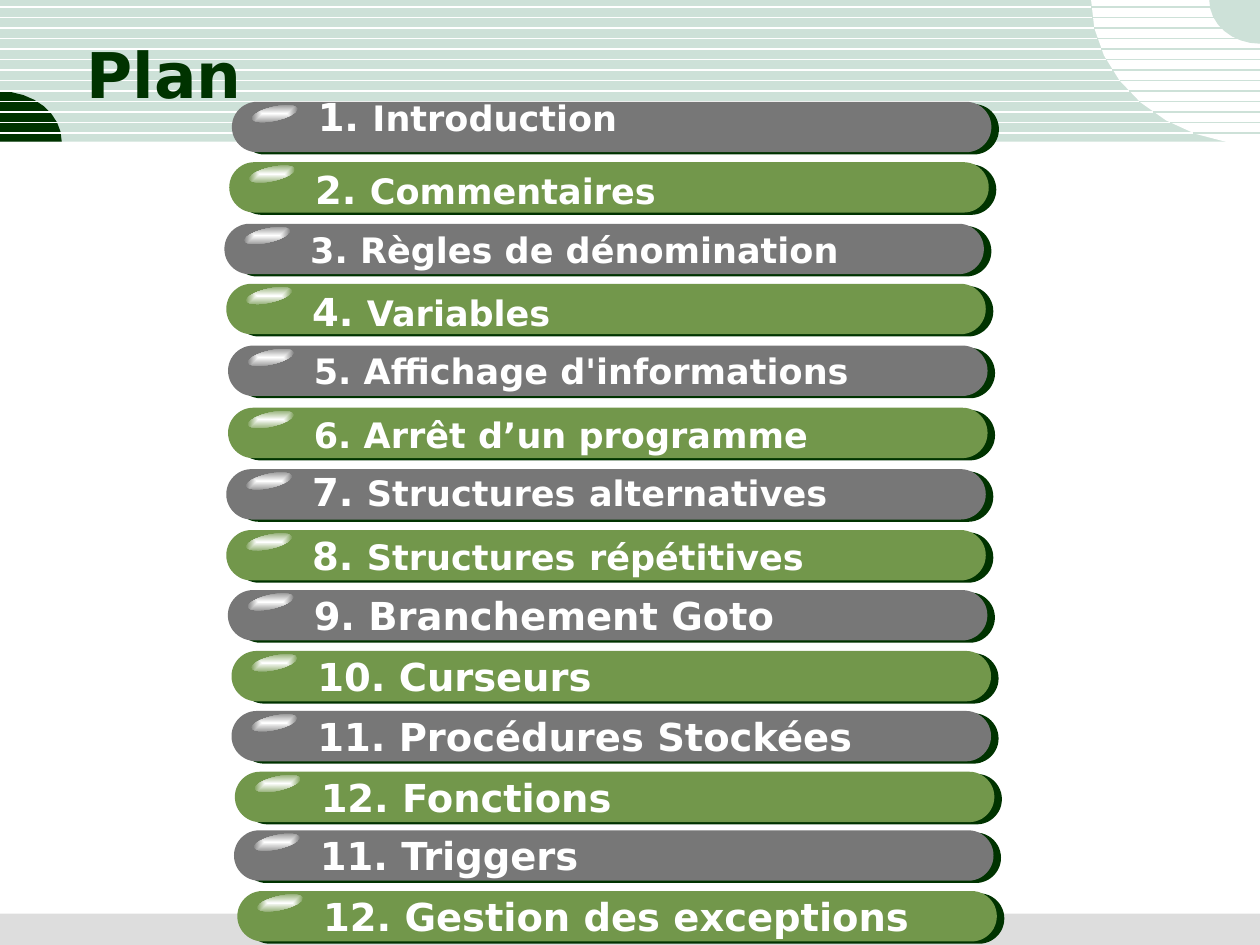
from dataclasses import dataclass
from math import cos, pi, sin, sqrt

from lxml import etree
from pptx import Presentation
from pptx.dml.color import RGBColor
from pptx.enum import shapes, text
from pptx.oxml import ns
from pptx.util import Pt

HUES = {"dark": "003300", "mint": "CDE1D8", "white": "FFFFFF",
        "gray": "777777", "green": "72974B", "foot": "DDDDDD"}
FONT = "DejaVu Sans"
WIDE, HIGH = 720, 540
BAND = 81
BAR_W, BAR_H = 434, 28.8
ARC_W, ARC_H = 96.5, 82.8


@dataclass(frozen=True)
class Run:
    words: str
    size: float
    hue: str = "white"


@dataclass(frozen=True)
class Bar:
    left: float
    top: float
    runs: tuple[Run, ...]
    shift: float = 0


@dataclass(frozen=True)
class Arc:
    mid: float
    base: float
    wide: float
    high: float
    start: float
    hue: str


def tint(name: str) -> RGBColor:
    return RGBColor.from_string(HUES[name])


def paint(shape, hue: str):
    shape.shadow.inherit = False
    shape.fill.solid()
    shape.fill.fore_color.rgb = tint(hue)
    shape.line.fill.background()
    return shape


def block(slide, kind, left: float, top: float, wide: float, high: float, hue: str):
    shape = slide.shapes.add_shape(kind, Pt(left), Pt(top), Pt(wide), Pt(high))
    return paint(shape, hue)


def wedge(slide, arc: Arc) -> None:
    steps = 8
    turns = [arc.start + pi / 2 * i / steps for i in range(steps + 1)]
    spots = [(Pt(arc.mid + arc.wide * cos(t)), Pt(arc.base + arc.high * sin(t)))
             for t in turns]
    path = slide.shapes.build_freeform(Pt(arc.mid), Pt(arc.base))
    path.add_line_segments(spots, close=True)
    paint(path.convert_to_shape(), arc.hue)


def rule(slide, left: float, right: float, y: float, hue: str, thick: float) -> None:
    line = slide.shapes.add_connector(
        shapes.MSO_CONNECTOR.STRAIGHT, Pt(left), Pt(y), Pt(right), Pt(y))
    line.line.color.rgb = tint(hue)
    line.line.width = Pt(thick)
    etree.SubElement(line._element.spPr, ns.qn("a:effectLst"))


def label(slide, left: float, top: float, wide: float, high: float,
          runs: tuple[Run, ...]) -> None:
    frame = slide.shapes.add_textbox(Pt(left), Pt(top), Pt(wide), Pt(high)).text_frame
    frame.word_wrap = True
    frame.auto_size = text.MSO_AUTO_SIZE.NONE
    frame.vertical_anchor = text.MSO_ANCHOR.MIDDLE
    for item in runs:
        run = frame.paragraphs[0].add_run()
        run.text = item.words
        run.font.name = FONT
        run.font.size = Pt(item.size)
        run.font.bold = True
        run.font.color.rgb = tint(item.hue)


def gloss(slide, left: float, top: float, hue: str) -> None:
    shape = block(slide, shapes.MSO_SHAPE.OVAL, left, top, 26.6, 7.9, "white")
    shape.rotation = 347.3
    props = shape._element.spPr
    fill = etree.Element(ns.qn("a:gradFill"), rotWithShape="1")
    stops = etree.SubElement(fill, ns.qn("a:gsLst"))
    for pos, name in (("0", "white"), ("100000", hue)):
        stop = etree.SubElement(stops, ns.qn("a:gs"), pos=pos)
        etree.SubElement(stop, ns.qn("a:srgbClr"), val=HUES[name])
    path = etree.SubElement(fill, ns.qn("a:path"), {"path": "shape"})
    etree.SubElement(path, ns.qn("a:fillToRect"),
                     {side: "50000" for side in "ltrb"})
    props.replace(props.find(ns.qn("a:solidFill")), fill)


def pill(slide, bar: Bar, hue: str) -> None:
    for dx, dy, name in ((4.3, 1.3, "dark"), (0, 0, hue)):
        shape = block(slide, shapes.MSO_SHAPE.ROUNDED_RECTANGLE,
                      bar.left + dx, bar.top + dy, BAR_W, BAR_H, name)
        shape.adjustments[0] = 0.5
    gloss(slide, bar.left + 11.2, bar.top + 2.8, hue)
    label(slide, bar.left + 42, bar.top + bar.shift, 350, BAR_H, bar.runs)


def mixed(num: str, *words: str) -> tuple[Run, ...]:
    runs = [Run(num + " ", 22)]
    for i, word in enumerate(words):
        if i:
            runs.append(Run(" ", 22))
        runs.append(Run(word, 20))
    return tuple(runs)


def plain(words: str, size: float = 22) -> tuple[Run, ...]:
    return (Run(words, size),)


BARS = (
    Bar(132.5, 58.2, mixed("1.", "Introduction"), -6.2),
    Bar(131, 92.7, mixed("2.", "Commentaires"), 1),
    Bar(128.2, 127.9, plain("3. Règles de dénomination", 20)),
    Bar(129.3, 162.2, mixed("4.", "Variables"), 1.2),
    Bar(130.3, 197.5, plain("5. Affichage d'informations", 20)),
    Bar(130.3, 233, plain("6. Arrêt d’un programme", 20), 1),
    Bar(129.3, 268.1, mixed("7.", "Structures", "alternatives"), -2),
    Bar(129.3, 302.9, mixed("8.", "Structures", "répétitives")),
    Bar(130.2, 337.2, plain("9. Branchement Goto")),
    Bar(132.3, 372, plain("10. Curseurs")),
    Bar(132.3, 406.3, plain("11. Procédures Stockées")),
    Bar(134.2, 441, plain("12. Fonctions")),
    Bar(133.7, 474.5, plain("11. Triggers")),
    Bar(135.6, 509.2, plain("12. Gestion des exceptions")),
)


def main() -> None:
    deck = Presentation()
    deck.slide_width, deck.slide_height = Pt(WIDE), Pt(HIGH)
    slide = deck.slides.add_slide(deck.slide_layouts[6])
    rect = shapes.MSO_SHAPE.RECTANGLE
    rows = [4 + 6 * i for i in range(13)]

    block(slide, rect, 0, 0, WIDE, BAND, "mint")
    wedge(slide, Arc(0, BAND, 35.3, 28.8, -pi / 2, "dark"))
    for y in rows:
        rule(slide, 0, WIDE, y, "white", 1)
    wedge(slide, Arc(WIDE, 0, ARC_W, ARC_H, pi / 2, "white"))
    for y in rows:
        edge = WIDE - ARC_W * sqrt(1 - (y / ARC_H) ** 2)
        rule(slide, edge, WIDE, y, "mint", 0.75)
    block(slide, rect, 0, 522, WIDE, 18, "foot")
    wedge(slide, Arc(WIDE, 0, 29, 25, pi / 2, "mint"))

    label(slide, 42.4, 18, 480, 48, (Run("Plan", 36, "dark"),))
    for i, bar in enumerate(BARS):
        pill(slide, bar, ("gray", "green")[i % 2])
    deck.save("out.pptx")


if __name__ == "__main__":
    main()
